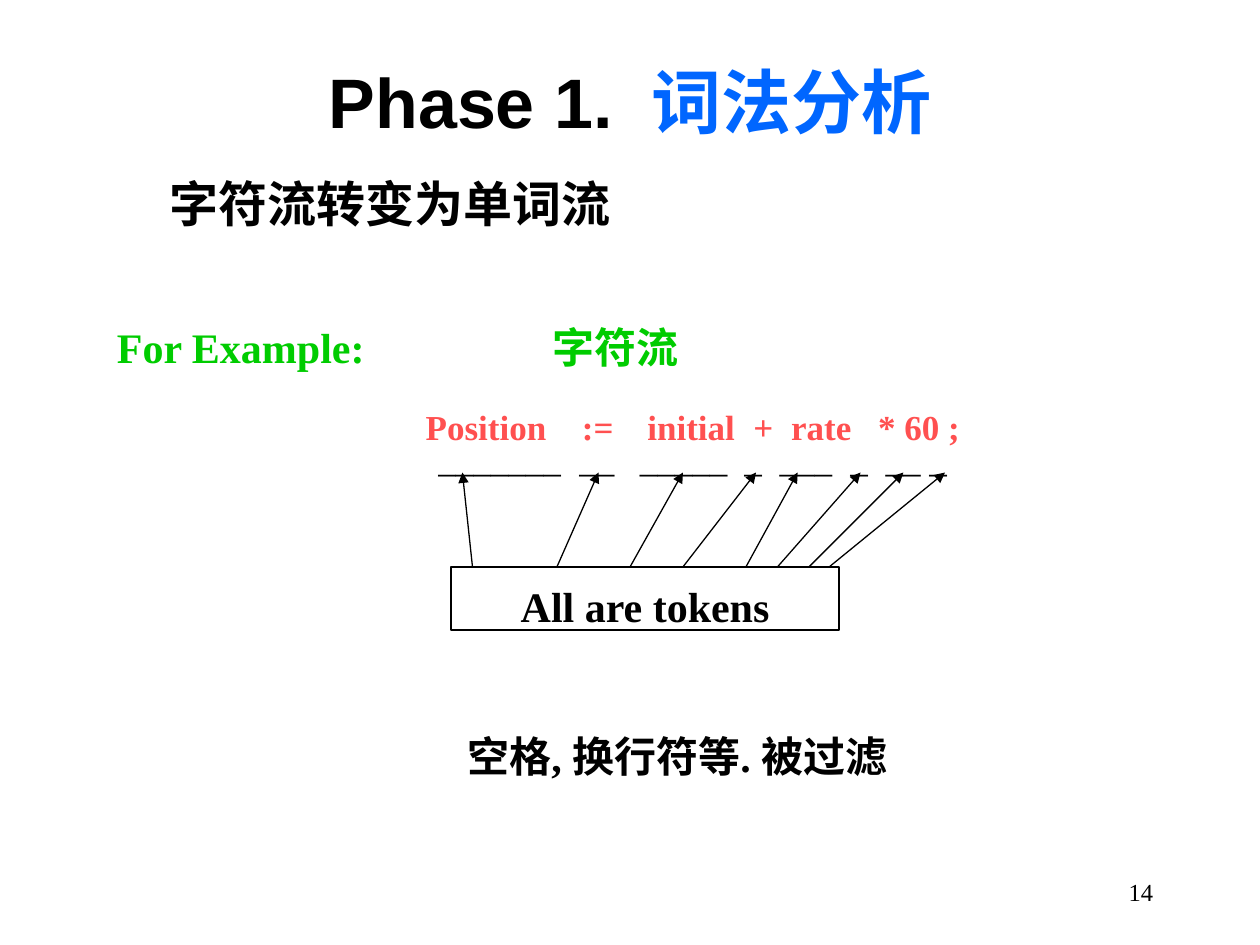
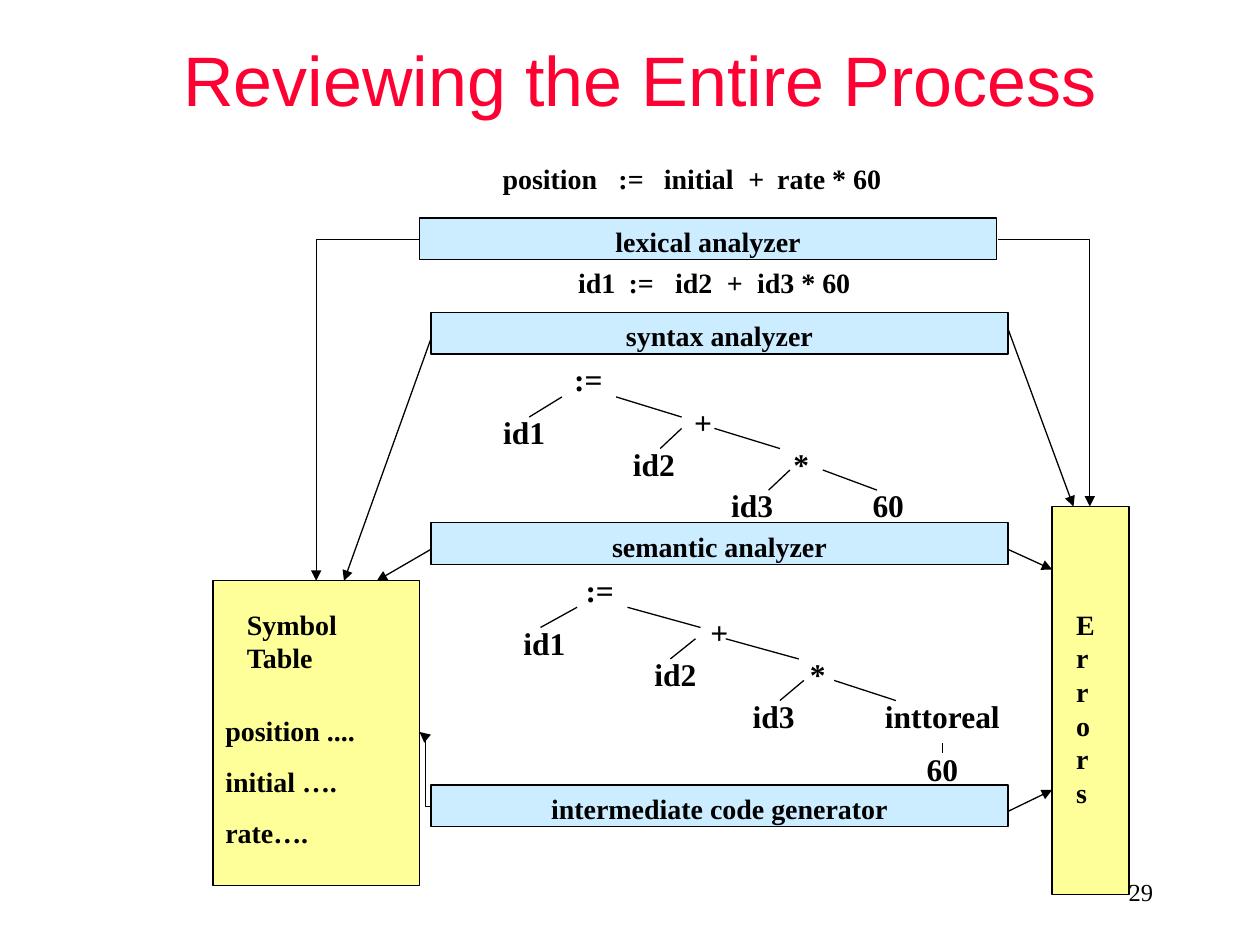
"""Build two compiler slides: lexical analysis and a review of the whole process."""
from lxml.etree import SubElement
from pptx import Presentation
from pptx.dml.color import RGBColor
from pptx.enum.shapes import MSO_CONNECTOR, MSO_SHAPE
from pptx.enum.text import MSO_ANCHOR, PP_ALIGN
from pptx.oxml.ns import qn
from pptx.util import Inches, Pt

BLACK = RGBColor(0x00, 0x00, 0x00)
BLUE = RGBColor(0x00, 0x66, 0xFF)
GREEN = RGBColor(0x00, 0xCC, 0x00)
CORAL = RGBColor(0xFF, 0x50, 0x50)
RED = RGBColor(0xFF, 0x00, 0x33)
PALE_BLUE = RGBColor(0xCC, 0xEC, 0xFF)
PALE_YELLOW = RGBColor(0xFF, 0xFF, 0x99)

TITLE_FONT, BODY_FONT = "Arial", "Times New Roman"
TITLE_SIZE = (8.5, 1.25)
PAGE_NUMBER_AREA = (7.17, 6.83, 2.08, 0.5)
INSETS = (0.1, 0.05, 0.1, 0)

EXAMPLE_HEADING = [("For Example:", 0.93), ("字符流", 4.39)]
STATEMENT = [("Position", 3.38), (":=", 4.62), ("initial", 5.14), ("+", 5.98),
             ("rate", 6.28), ("* 60 ;", 6.97)]
UNDERLINES = [("_______", 3.48), ("__", 4.6), ("_____", 5.08), ("_", 5.91),
              ("___", 6.19), ("_", 6.75), ("__ _", 7.03)]
TOKENS_BOX = (3.58, 4.5, 3.08, 0.5)
TOKEN_ARROW_TOP = 3.75
TOKEN_ARROWS = [(3.75, 3.67), (4.42, 4.75), (5, 5.42), (5.42, 6),
                (5.92, 6.33), (6.17, 6.83), (6.42, 7.17), (6.58, 7.5)]

SOURCE_ROW = [("position", 3.99), (":=", 4.91), ("initial", 5.27), ("+", 5.94),
              ("rate * 60", 6.17)]
TOKEN_ROW = [("id1", 4.59), (":=", 4.99), ("id2", 5.36), ("+", 5.77),
             ("id3 * 60", 6.01)]
PHASE_SIZE = (4.58, 0.33)
PHASES = [("lexical analyzer", 3.33, 1.73), ("syntax analyzer", 3.42, 2.48),
          ("semantic analyzer", 3.42, 4.15),
          ("intermediate code generator", 3.42, 6.23)]
ERRORS_BOX = (8.35, 4.02, 0.61, 3.08)
SYMBOL_BOX = (1.69, 4.61, 1.64, 2.42)
SYMBOLS = ["position ....", "initial ….", "rate…."]

NODE_SIZE = (1.4, 0.4)
NODE_DROPS = [0, 0.42, 0.34, 0.67, 0.67, 1, 1, 1.42]
EDGE_DROPS = [0.34, 0.34, 0.59, 0.59, 0.92, 0.92]
EDGE_HEIGHT = 0.16
TREES = [
    {"top": 2.81,
     "nodes": [(":=", 4.67), ("id1", 4.16), ("+", 5.58), ("id2", 5.19),
               ("*", 6.36), ("id3", 5.97), ("60", 7.05)],
     "edges": [(4.46, 4.2), (4.89, 5.41), (5.41, 5.24), (5.67, 6.19),
               (6.27, 6.1), (6.53, 6.96)]},
    {"top": 4.48,
     "nodes": [(":=", 4.76), ("id1", 4.32), ("+", 5.71), ("id2", 5.36),
               ("*", 6.49), ("id3", 6.14), ("inttoreal", 7.48), ("60", 7.48)],
     "edges": [(4.58, 4.29), (4.98, 5.56), (5.52, 5.32), (5.76, 6.34),
               (6.38, 6.19), (6.62, 7.11)]},
]
CONVERSION_EDGE = ((7.48, 5.9), (7.48, 5.98))

PHASE_ARROWS = [((3.42, 2.69), (2.73, 4.61)), ((3.42, 4.36), (2.99, 4.61)),
                ((8, 6.44), (8.35, 6.27)), ((8, 4.36), (8.35, 4.52)),
                ((8, 2.61), (8.52, 4.02))]
ELBOW_ARROWS = [((3.33, 1.9), (2.51, 4.61), "bentConnector2"),
                ((3.42, 6.4), (3.33, 5.81), "bentConnector3"),
                ((7.92, 1.9), (8.65, 4.02), "bentConnector2")]


def style(paragraph, size, color=BLACK, bold=True, name=BODY_FONT):
    font = paragraph.font
    font.name, font.size, font.bold = name, Pt(size), bold
    font.color.rgb = color


def write(shape, lines, size, align=PP_ALIGN.LEFT, color=BLACK, bold=True,
          insets=INSETS, anchor=MSO_ANCHOR.TOP):
    frame = shape.text_frame
    frame.word_wrap = True
    frame.vertical_anchor = anchor
    (frame.margin_left, frame.margin_top,
     frame.margin_right, frame.margin_bottom) = map(Inches, insets)
    frame.text = "\n".join(lines)
    for index, paragraph in enumerate(frame.paragraphs):
        paragraph.alignment = align
        if index:
            paragraph.space_before = Pt(10)
        style(paragraph, size, color, bold)


def add_text(page, area, lines, size, **options):
    box = page.shapes.add_textbox(*map(Inches, area))
    write(box, lines, size, **options)


def add_token_row(page, tokens, top, size, color=BLACK, bold=True):
    start = tokens[0][1]
    box = page.shapes.add_textbox(*map(Inches, (start - 0.1, top, 9.5 - start, 0.5)))
    paragraph = box.text_frame.paragraphs[0]
    tab_list = SubElement(paragraph._p.get_or_add_pPr(), qn("a:tabLst"))
    for _, left in tokens[1:]:
        SubElement(tab_list, qn("a:tab"), pos=str(Inches(left - start)), algn="l")
    box.text_frame.word_wrap = True
    paragraph.add_run().text = "\t".join(token for token, _ in tokens)
    style(paragraph, size, color, bold)


def add_box(page, area, fill=None):
    box = page.shapes.add_shape(MSO_SHAPE.RECTANGLE, *map(Inches, area))
    box.shadow.inherit = False
    if fill is None:
        box.fill.background()
    else:
        box.fill.solid()
        box.fill.fore_color.rgb = fill
    box.line.color.rgb = BLACK
    box.line.width = Pt(0.75)
    return box


def add_line(page, start, end, arrow=True, elbow=None):
    kind = MSO_CONNECTOR.ELBOW if elbow else MSO_CONNECTOR.STRAIGHT
    line = page.shapes.add_connector(kind, *map(Inches, (*start, *end)))
    line.line.color.rgb = BLACK
    line.line.width = Pt(0.75)
    properties = line._element.spPr
    if elbow:
        properties.find(qn("a:prstGeom")).set("prst", elbow)
    if arrow:
        SubElement(properties.find(qn("a:ln")), qn("a:tailEnd"), type="triangle")
    SubElement(properties, qn("a:effectLst"))


def add_page(deck, title_spans, position, number, bold):
    page = deck.slides.add_slide(deck.slide_layouts[5])
    title = page.shapes.title
    title.left, title.top, title.width, title.height = map(
        Inches, (*position, *TITLE_SIZE))
    title.text_frame.vertical_anchor = MSO_ANCHOR.MIDDLE
    paragraph = title.text_frame.paragraphs[0]
    paragraph.alignment = PP_ALIGN.CENTER
    for text, color in title_spans:
        span = paragraph.add_run()
        span.text = text
        span.font.color.rgb = color
    style(paragraph, 40, title_spans[0][1], bold, TITLE_FONT)
    add_text(page, PAGE_NUMBER_AREA, [number], 14, align=PP_ALIGN.RIGHT,
             bold=False, insets=(0.1, 0.05, 0.1, 0.05), anchor=MSO_ANCHOR.MIDDLE)
    return page


def build_lexical_page(deck):
    page = add_page(deck, [("Phase 1.  ", BLACK), ("词法分析", BLUE)],
                    (0.75, 0.17), "14", True)
    add_text(page, (1.25, 1.33, 7.25, 0.57), ["字符流转变为单词流"], 28)
    add_token_row(page, EXAMPLE_HEADING, 2.5, 24, GREEN)
    write(add_box(page, TOKENS_BOX), ["All are tokens"], 24,
          align=PP_ALIGN.CENTER, insets=(0.1, 0.11, 0.1, 0))
    for start, end in TOKEN_ARROWS:
        add_line(page, (start, TOKENS_BOX[1]), (end, TOKEN_ARROW_TOP))
    add_text(page, (2.25, 5.75, 6.25, 0.5), ["空格, 换行符等. 被过滤"], 24,
             align=PP_ALIGN.CENTER)
    add_token_row(page, STATEMENT, 3.17, 20, CORAL)
    add_token_row(page, UNDERLINES, 3.42, 20, bold=False)


def add_tree(page, tree):
    width, height = NODE_SIZE
    top = tree["top"]
    for (text, center), drop in zip(tree["nodes"], NODE_DROPS):
        add_text(page, (center - width / 2, top + drop, width, height), [text], 18,
                 align=PP_ALIGN.CENTER)
    for (start, end), drop in zip(tree["edges"], EDGE_DROPS):
        add_line(page, (start, top + drop), (end, top + drop + EDGE_HEIGHT), arrow=False)


def build_review_page(deck):
    page = add_page(deck, [("Reviewing the Entire Process", RED)],
                    (0.83, 0), "29", False)
    write(add_box(page, ERRORS_BOX, PALE_YELLOW), ["Errors"], 16,
          insets=(0.19, 0.8, 0.41, 0))
    add_token_row(page, SOURCE_ROW, 1.23, 16)
    for name, left, top in PHASES:
        write(add_box(page, (left, top, *PHASE_SIZE), PALE_BLUE), [name], 16,
              align=PP_ALIGN.CENTER)
    add_token_row(page, TOKEN_ROW, 2.06, 16)
    for tree in TREES:
        add_tree(page, tree)
    add_line(page, *CONVERSION_EDGE, arrow=False)
    write(add_box(page, SYMBOL_BOX, PALE_YELLOW), ["Symbol Table"], 16,
          insets=(0.27, 0.21, 0.45, 0))
    add_text(page, (1.69, 5.61, 1.64, 1.18), SYMBOLS, 16)
    for start, end in PHASE_ARROWS:
        add_line(page, start, end)
    for start, end, elbow in ELBOW_ARROWS:
        add_line(page, start, end, elbow=elbow)


def main():
    deck = Presentation()
    deck.slide_width, deck.slide_height = Inches(10), Inches(7.5)
    build_lexical_page(deck)
    build_review_page(deck)
    deck.save("out.pptx")


if __name__ == "__main__":
    main()
